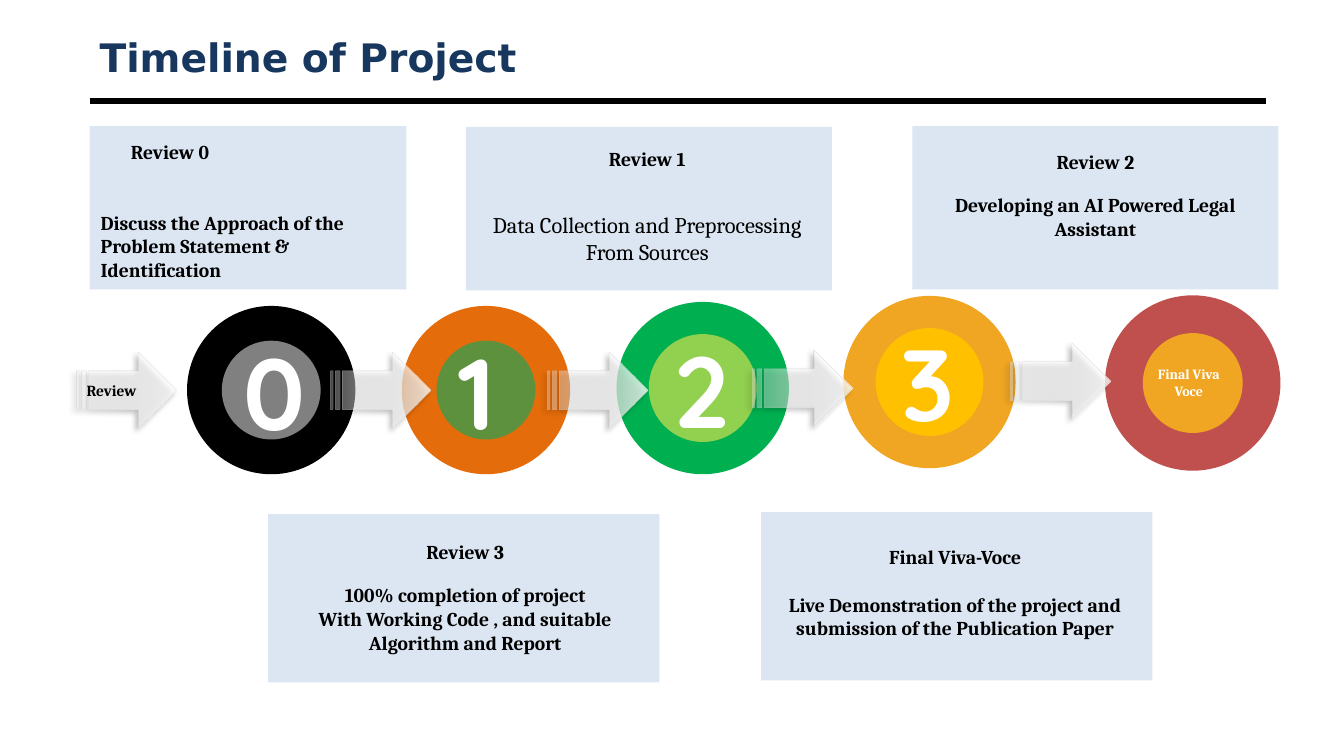
"""Build the project timeline slide with its review stages."""
from pptx import Presentation
from pptx.dml.color import RGBColor
from pptx.enum.shapes import MSO_CONNECTOR, MSO_SHAPE as Preset
from pptx.enum.text import MSO_ANCHOR as Anchor, PP_ALIGN as Align
from pptx.oxml import parse_xml
from pptx.oxml.ns import nsdecls, qn
from pptx.oxml.xmlchemy import OxmlElement
from pptx.util import Inches, Pt

deck = Presentation()
deck.slide_width, deck.slide_height = Inches(13.33), Inches(7.5)
slide = deck.slides.add_slide(deck.slide_layouts[6])


def add_preset(preset, box, fill):
    shape = slide.shapes.add_shape(preset, *map(Inches, box))
    shape.shadow.inherit = False
    shape.fill.solid()
    shape.fill.fore_color.rgb = RGBColor.from_string(fill)
    shape.line.fill.background()
    return shape


def add_text(box, lines, size, font="Cambria", color="000000", align=Align.CENTER):
    frame = slide.shapes.add_textbox(*map(Inches, box)).text_frame
    frame.word_wrap = True
    frame.text = "\n".join(lines)
    for paragraph in frame.paragraphs:
        paragraph.alignment = align
        for run in paragraph.runs:
            run.font.name, run.font.size, run.font.bold = font, Pt(size), True
            run.font.color.rgb = RGBColor.from_string(color)
    return frame


rule = slide.shapes.add_connector(
    MSO_CONNECTOR.STRAIGHT, Inches(0.89), Inches(1), Inches(12.56), Inches(1))
rule.line.color.rgb = RGBColor.from_string("000000")
rule.line.width = Pt(4.5)
rule._element.spPr.append(OxmlElement("a:effectLst"))

title = add_text((0.89, 0.3, 11.67, 0.53), ["Timeline of Project"], 28,
                 "DejaVu Sans", "17375E", Align.LEFT)
title.vertical_anchor = Anchor.MIDDLE

stages = [
    (2.69, 3.87, 1.67, "000000", 0.98, "808080"),
    (4.82, 3.87, 1.67, "E46C0A", 0.98, "5E913E"),
    (6.97, 3.85, 1.71, "00B050", 1.07, "92D050"),
    (9.22, 3.79, 1.71, "F0A622", 1.07, "FFC000"),
    (11.83, 3.8, 1.74, "C0504D", 0.99, "F0A622"),
]
for x, y, outer, ring, inner, core in stages:
    for diameter, fill in ((outer, ring), (inner, core)):
        add_preset(Preset.OVAL,
                   (x - diameter / 2, y - diameter / 2, diameter, diameter), fill)

for left, top in ((0.76, 3.49), (3.28, 3.49), (5.43, 3.49), (7.46, 3.47), (10.02, 3.4)):
    arrow = add_preset(Preset.STRIPED_RIGHT_ARROW, (left, top, 0.99, 0.76), "FFFFFF")
    arrow.fill.gradient()
    arrow.fill.gradient_angle = 0
    for stop in arrow.fill.gradient_stops:
        stop.color.rgb = RGBColor.from_string("FFFFFF")
    arrow.line.color.rgb = RGBColor.from_string("BFBFBF")
    arrow.line.width = Pt(0.25)
    properties = arrow._element.spPr
    for color, opacity in zip(properties.iter(qn("a:srgbClr")), (30, 80, 50)):
        alpha = OxmlElement("a:alpha")
        alpha.set("val", str(opacity * 1000))
        color.append(alpha)
    properties.find(qn("a:effectLst")).append(parse_xml(
        f'<a:outerShdw {nsdecls("a")} blurRad="{Pt(4)}" dist="{Pt(3)}" dir="8100000">'
        '<a:srgbClr val="000000"><a:alpha val="40000"/></a:srgbClr></a:outerShdw>'))

add_text((0.76, 3.73, 0.79, 0.29), ["Review"], 11, align=Align.LEFT)
numerals = ((2.32, 3.22), (4.45, 3.22), (6.59, 3.2), (8.84, 3.13))
for number, (left, top) in enumerate(numerals):
    add_text((left, top, 0.92, 1.31), [str(number)], 72, "Quicksand", "FFFFFF", Align.LEFT)
add_text((11.33, 3.58, 0.92, 0.44), ["Final Viva", "Voce"], 10, color="FFFFFF")

reviews = [
    ((0.89, 1.25, 3.14, 1.62), (0.9, 1.34, 3.43, 1.51), 33.6, Align.LEFT,
     ["Review 0", "Discuss the Approach of the", "Problem Statement &", "Identification"]),
    ((4.62, 1.26, 3.63, 1.62), (4.55, 1.41, 3.74, 1.28), 29, Align.CENTER,
     ["Review 1", "Data Collection and Preprocessing", "From Sources"]),
    ((9.05, 1.25, 3.63, 1.62), (9.05, 1.44, 3.63, 1.28), 14, Align.CENTER,
     ["Review 2", "Developing an AI Powered Legal Assistant"]),
    ((2.66, 5.1, 3.88, 1.67), (2.65, 5.31, 3.93, 1.45), 14, Align.CENTER,
     ["Review 3", "100% completion of project",
      "With Working Code , and suitable Algorithm and Report"]),
    ((7.55, 5.08, 3.88, 1.67), (7.51, 5.36, 3.93, 1.25), 17, Align.CENTER,
     ["Final Viva-Voce",
      "Live Demonstration of the project and submission of the Publication Paper"]),
]
for card_box, text_box, gap, align, lines in reviews:
    card = add_preset(Preset.ROUNDED_RECTANGLE, card_box, "DCE6F2")
    card.adjustments[0] = 0
    heading, *body = add_text(text_box, lines, 14, align=align).paragraphs
    heading.space_after = Pt(gap)
    if align == Align.LEFT:
        heading._p.get_or_add_pPr().set("marL", str(Inches(0.3)))
    if lines[0] == "Review 1":
        for paragraph in body:
            paragraph.runs[0].font.size = Pt(16)
            paragraph.runs[0].font.bold = False

deck.save("out.pptx")
